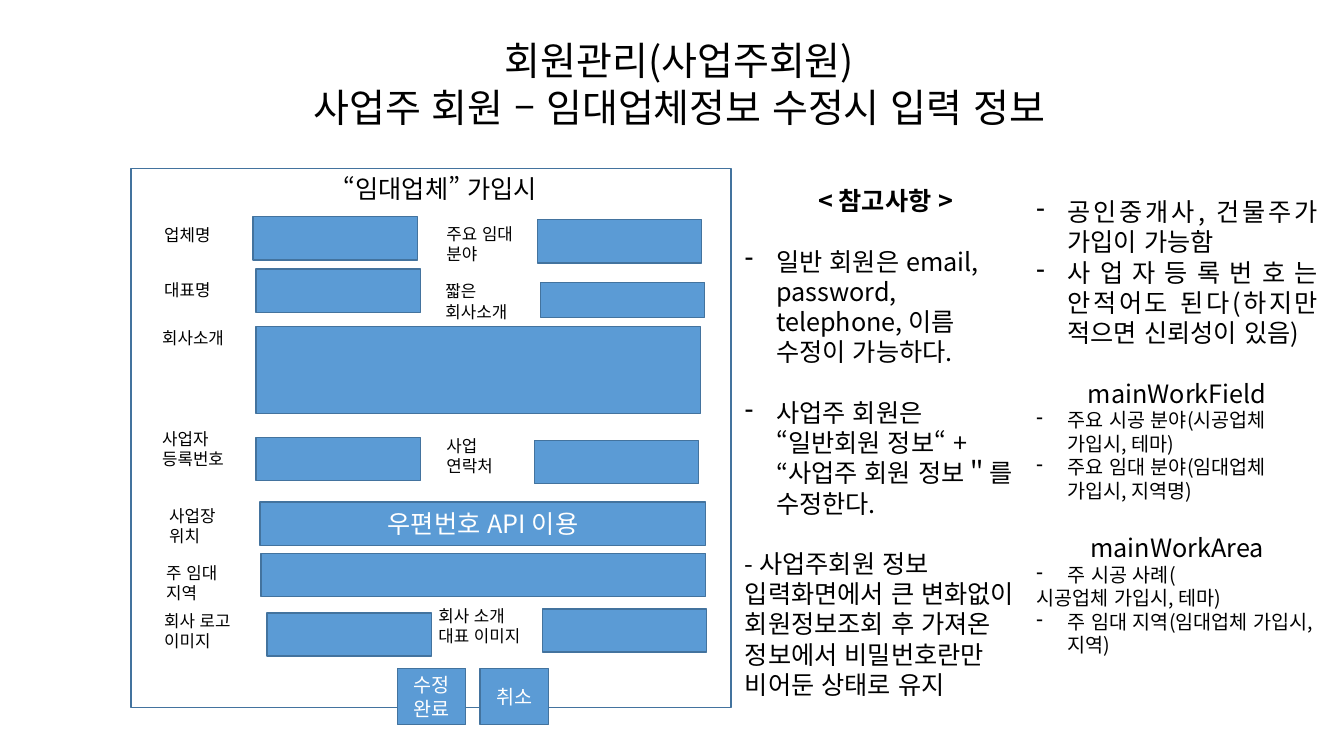
from dataclasses import dataclass
from lxml.etree import SubElement
from pptx import Presentation
from pptx.dml.color import RGBColor
from pptx.enum.lang import MSO_LANGUAGE_ID
from pptx.enum.shapes import MSO_SHAPE
from pptx.enum.text import MSO_ANCHOR, MSO_AUTO_SIZE, PP_ALIGN
from pptx.oxml.ns import qn
from pptx.util import Emu, Pt


@dataclass(frozen=True)
class Theme:
    font: str = "Noto Sans CJK KR"
    ink: str = "000000"
    paper: str = "FFFFFF"
    field: str = "5B9BD5"
    edge: str = "43739E"
    title: float = 27.9
    body: int = 18
    small: int = 14
    label: int = 12
    gap: float = 21.6


class Page:
    scale = 9144
    indent = 31

    def __init__(self, deck, theme):
        self.theme = theme
        self.slide = deck.slides.add_slide(deck.slide_layouts[6])

    def place(self, *box):
        return [Emu(n * self.scale) for n in box]

    def run(self, para, text, size, color, bold=False):
        run = para.add_run()
        run.text = text
        font = run.font
        font.name, font.size, font.bold = self.theme.font, Pt(size), bold
        font.language_id = MSO_LANGUAGE_ID.KOREAN
        font.color.rgb = RGBColor.from_string(color)
        east = SubElement(font._element, qn("a:ea"))
        east.set("typeface", self.theme.font)

    def bullet(self, para):
        props = para._p.get_or_add_pPr()
        step = self.indent * self.scale
        props.set("marL", str(step))
        props.set("indent", str(-step))
        SubElement(props, qn("a:buFontTx"))
        SubElement(props, qn("a:buChar")).set("char", "-")

    def rect(self, box, fill, text="", size=0):
        shape = self.slide.shapes.add_shape(MSO_SHAPE.RECTANGLE, *self.place(*box))
        shape.shadow.inherit = False
        shape.fill.solid()
        shape.fill.fore_color.rgb = RGBColor.from_string(fill)
        shape.line.color.rgb = RGBColor.from_string(self.theme.edge)
        shape.line.width = Pt(1)
        if text:
            frame = shape.text_frame
            frame.word_wrap = True
            frame.vertical_anchor = MSO_ANCHOR.MIDDLE
            para = frame.paragraphs[0]
            para.alignment = PP_ALIGN.CENTER
            self.run(para, text, size, self.theme.paper)

    def text(self, box, paras, anchor=MSO_ANCHOR.TOP, grow=True):
        frame = self.slide.shapes.add_textbox(*self.place(*box)).text_frame
        frame.word_wrap = True
        frame.vertical_anchor = anchor
        if grow:
            frame.auto_size = MSO_AUTO_SIZE.SHAPE_TO_FIT_TEXT
        for i, (text, size, align, dash, gap, bold) in enumerate(paras):
            para = frame.add_paragraph() if i else frame.paragraphs[0]
            para.alignment = align
            if gap:
                para.space_before = Pt(self.theme.gap)
            if dash:
                self.bullet(para)
            self.run(para, text, size, self.theme.ink, bold)


def line(text, size, align=PP_ALIGN.LEFT, dash=False, gap=False, bold=False):
    return text, size, align, dash, gap, bold


def main():
    theme = Theme()
    deck = Presentation()
    deck.slide_width, deck.slide_height = Emu(1333 * Page.scale), Emu(750 * Page.scale)
    page = Page(deck, theme)
    mid, full = PP_ALIGN.CENTER, PP_ALIGN.JUSTIFY
    body, small = theme.body, theme.small

    page.text((249, 36, 850, 94), [
        line("회원관리(사업주회원)", theme.title, mid),
        line("사업주 회원 – 임대업체정보 수정시 입력 정보", theme.title, mid),
    ], MSO_ANCHOR.MIDDLE, grow=False)

    page.rect((130, 167, 595, 535), theme.paper)
    page.text((331, 167, 270, 40), [line("“임대업체” 가입시", body)])

    wide, tall = 163, 43
    fields = [
        (251, 215, wide, tall), (533, 218, wide, tall),
        (254, 267, wide, tall), (536, 280, wide, 35),
        (254, 324, 441, 86),
        (254, 434, wide, tall), (530, 437, wide, tall),
        (259, 549, 441, tall),
        (265, 608, wide, tall), (538, 604, wide, tall),
    ]
    for box in fields:
        page.rect(box, theme.field)
    page.rect((258, 498, 442, tall), theme.field, "우편번호 API 이용", body)
    for left, name in ((394, "수정 완료"), (476, "취소")):
        page.rect((left, 663, 68, 56), theme.field, name, small)

    labels = [
        (153, 218, 101, 30, "업체명"), (433, 217, 101, 50, "주요 임대 분야"),
        (153, 273, 92, 30, "대표명"), (432, 274, 101, 50, "짧은 회사소개"),
        (151, 320, 101, 30, "회사소개"),
        (151, 420, 92, 50, "사업자 등록번호"), (433, 427, 92, 50, "사업\n연락처"),
        (158, 497, 92, 50, "사업장 위치"),
        (155, 553, 92, 50, "주 임대 지역"),
        (153, 601, 110, 50, "회사 로고 이미지"),
        (425, 596, 110, 50, "회사 소개 대표 이미지"),
    ]
    for *box, name in labels:
        page.text(box, [line(part, theme.label) for part in name.split("\n")])

    page.text((729, 179, 299, 495), [
        line("< 참고사항 >", body, mid, bold=True),
        line("일반 회원은 email, password, telephone, 이름 수정이 가능하다.",
             body, dash=True, gap=True),
        line("사업주 회원은 “일반회원 정보“ + “사업주 회원 정보＂를 수정한다.",
             body, dash=True, gap=True),
        line("- 사업주회원 정보 입력화면에서 큰 변화없이 회원정보조회 후 가져온 "
             "정보에서 비밀번호란만 비어둔 상태로 유지", body, gap=True),
    ])
    page.text((1018, 190, 299, 471), [
        line("공인중개사, 건물주가 가입이 가능함", body, full, dash=True),
        line("사업자등록번호는 안적어도 된다(하지만 적으면 신뢰성이 있음)",
             body, full, dash=True),
        line("mainWorkField", body, mid, gap=True),
        line("주요 시공 분야(시공업체 가입시, 테마)", small, dash=True),
        line("주요 임대 분야(임대업체 가입시, 지역명)", small, dash=True),
        line("mainWorkArea", body, mid, gap=True),
        line("주 시공 사례(", small, dash=True),
        line("시공업체 가입시, 테마)", small),
        line("주 임대 지역(임대업체 가입시, 지역)", small, dash=True),
    ])
    deck.save("out.pptx")


if __name__ == "__main__":
    main()
